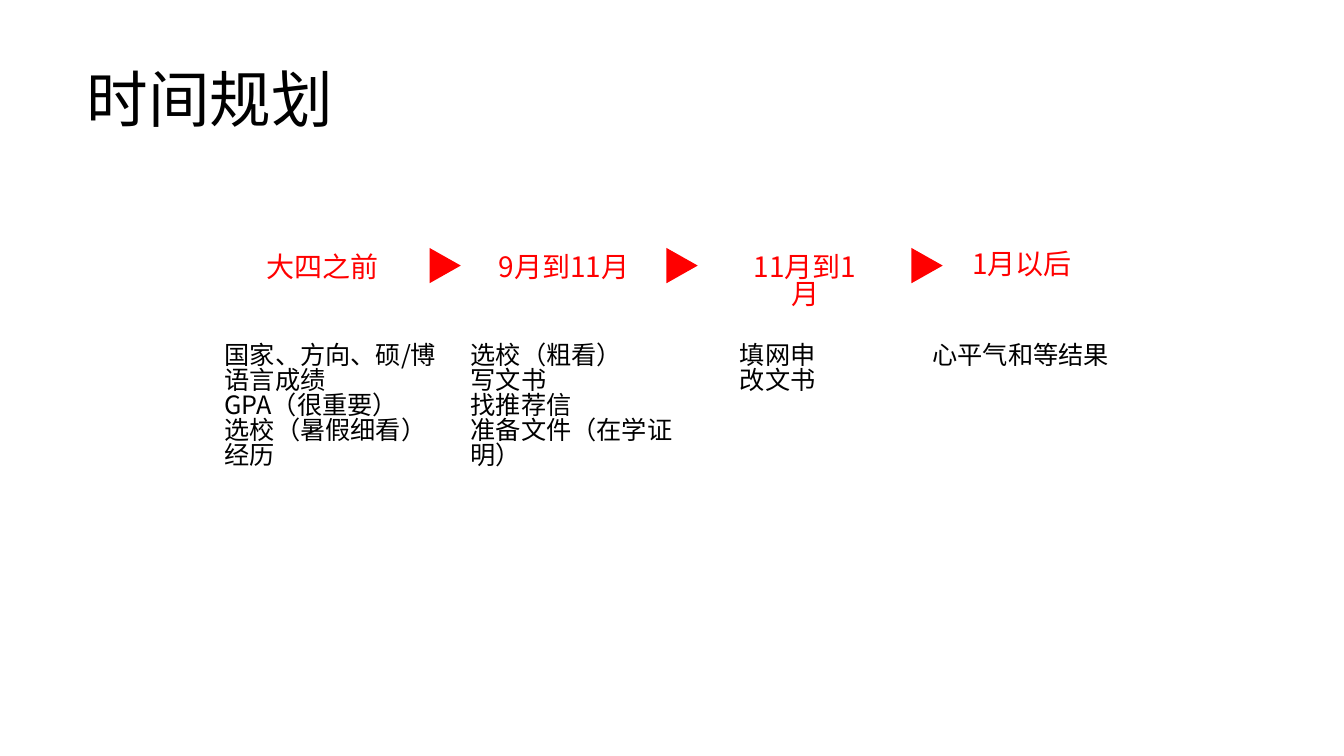
from dataclasses import dataclass

import pptx
import pptx.dml.color
import pptx.enum.shapes
import pptx.enum.text
import pptx.oxml
import pptx.oxml.ns
import pptx.util

Inches = pptx.util.Inches
Align = pptx.enum.text.PP_ALIGN


@dataclass(frozen=True)
class Theme:
    font: str = "Noto Sans CJK SC"
    ink: str = "000000"
    accent: str = "FF0000"
    title_size: int = 44
    heading_size: int = 20
    body_size: int = 18
    line_spacing: float = 0.83
    top_shift: float = 0.065


@dataclass(frozen=True)
class Label:
    left: float
    top: float
    width: float
    height: float
    lines: tuple[str, ...]
    size: int
    color: str
    align: Align = Align.LEFT


@dataclass(frozen=True)
class Stage:
    heading: str
    heading_left: float
    heading_top: float
    heading_width: float
    tasks_left: float
    tasks_width: float
    tasks: tuple[str, ...]


THEME = Theme()
ARROW_LEFTS = (4.24, 6.59, 9.02)
STAGES = (
    Stage("大四之前", 2.54, 2.46, 1.32, 2.13, 2.43,
          ("国家、方向、硕/博", "语言成绩", "GPA（很重要）", "选校（暑假细看）", "经历")),
    Stage("9月到11月", 4.75, 2.46, 1.69, 4.57, 2.52,
          ("选校（粗看）", "写文书", "找推荐信", "准备文件（在学证明）")),
    Stage("11月到1月", 7.24, 2.46, 1.49, 7.24, 2.43, ("填网申", "改文书")),
    Stage("1月以后", 9.54, 2.43, 1.19, 9.15, 2.43, ("心平气和等结果",)),
)


def add_label(page: pptx.slide.Slide, label: Label) -> None:
    box = page.shapes.add_textbox(Inches(label.left), Inches(label.top),
                                  Inches(label.width), Inches(label.height))
    frame = box.text_frame
    frame.word_wrap = True
    frame.margin_top = Inches(0.05 + THEME.top_shift * label.size / 72)
    for index, line in enumerate(label.lines):
        para = frame.add_paragraph() if index else frame.paragraphs[0]
        para.alignment = label.align
        para.line_spacing = THEME.line_spacing
        span = para.add_run()
        span.text = line
        span.font.size = pptx.util.Pt(label.size)
        span.font.name = THEME.font
        span.font.color.rgb = pptx.dml.color.RGBColor.from_string(label.color)
        east_asian = pptx.oxml.parse_xml(
            f'<a:ea {pptx.oxml.ns.nsdecls("a")} typeface="{THEME.font}"/>')
        span.font._element.find(pptx.oxml.ns.qn("a:latin")).addnext(east_asian)


def add_arrows(page: pptx.slide.Slide) -> None:
    group = page.shapes.add_group_shape()
    for left in ARROW_LEFTS:
        arrow = group.shapes.add_shape(
            pptx.enum.shapes.MSO_SHAPE.ISOSCELES_TRIANGLE,
            Inches(left), Inches(2.48), Inches(0.35), Inches(0.31))
        arrow.rotation = 90
        arrow.shadow.inherit = False
        arrow.fill.solid()
        arrow.fill.fore_color.rgb = pptx.dml.color.RGBColor.from_string(THEME.accent)
        arrow.line.fill.background()


def add_stage(page: pptx.slide.Slide, stage: Stage) -> None:
    add_label(page, Label(stage.heading_left, stage.heading_top, stage.heading_width, 0.44,
                          (stage.heading,), THEME.heading_size, THEME.accent, Align.CENTER))
    tasks_height = round(0.1 + 0.304 * len(stage.tasks), 2)
    add_label(page, Label(stage.tasks_left, 3.35, stage.tasks_width, tasks_height,
                          stage.tasks, THEME.body_size, THEME.ink))


def main() -> None:
    deck = pptx.Presentation()
    deck.slide_width = Inches(13.33)
    deck.slide_height = Inches(7.5)
    page = deck.slides.add_slide(deck.slide_layouts[6])
    add_arrows(page)
    for stage in STAGES:
        add_stage(page, stage)
    add_label(page, Label(0.76, 0.64, 3.99, 0.84, ("时间规划",), THEME.title_size, THEME.ink))
    deck.save("out.pptx")


if __name__ == "__main__":
    main()
